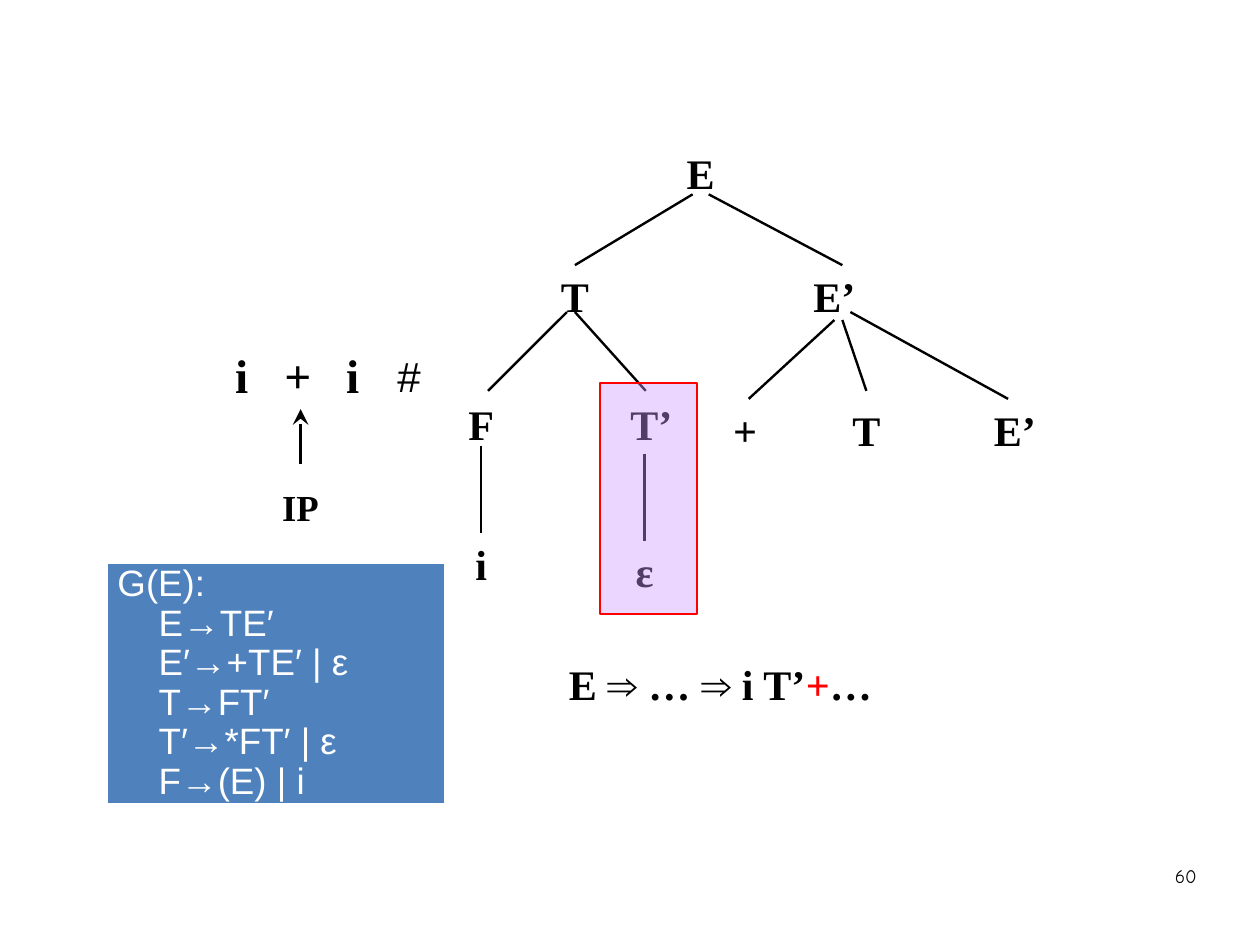
from pptx import Presentation
from pptx.dml.color import RGBColor
from pptx.enum.shapes import MSO_CONNECTOR, MSO_SHAPE
from pptx.enum.text import MSO_ANCHOR, MSO_AUTO_SIZE, PP_ALIGN
from pptx.oxml.ns import qn
from pptx.util import Inches, Pt
from lxml.etree import SubElement

COLORS = {"black": "000000", "white": "FFFFFF", "red": "FF0000",
          "blue": "4F81BD", "violet": "CC99FF"}
SERIF = "Times New Roman"
NODE_SIZE = 26.5
CM_PER_INCH = 2.54

# Tree nodes: text, centre x, top
NODES = [
    ("E", 6.13, 1.24),
    ("T", 5.03, 2.32), ("E’", 7.3, 2.32),
    ("F", 4.21, 3.44), ("T’", 5.7, 3.44),
    ("+", 6.52, 3.49), ("T", 7.58, 3.49), ("E’", 8.88, 3.49),
    ("i", 4.21, 4.66), ("ε", 5.64, 4.72),
]
# Tree branches: start x, start y, end x, end y
BRANCHES = [
    (6.06, 1.7, 5.03, 2.32), (6.2, 1.7, 7.37, 2.32),
    (4.96, 2.73, 4.27, 3.42), (5.03, 2.73, 5.65, 3.42),
    (7.3, 2.8, 6.55, 3.49), (7.37, 2.8, 7.58, 3.42), (7.44, 2.73, 8.82, 3.49),
    (4.21, 3.9, 4.21, 4.66), (5.64, 3.97, 5.64, 4.73),
]
RULES = ["E→TE′", "E′→+TE′ | ε", "T→FT′", "T′→*FT′ | ε", "F→(E) | i"]


def rgb(name):
    return RGBColor.from_string(COLORS[name])


def style(font, size, name=SERIF, bold=True, color="black"):
    font.size = Pt(size)
    font.name = name
    font.bold = bold
    font.color.rgb = rgb(color)


def add_text_box(slide, left, top, width, height, wrap=False):
    box = slide.shapes.add_textbox(Inches(left), Inches(top),
                                   Inches(width), Inches(height))
    frame = box.text_frame
    frame.word_wrap = wrap
    frame.auto_size = MSO_AUTO_SIZE.SHAPE_TO_FIT_TEXT
    return frame


def add_label(slide, text, center, top, size=NODE_SIZE, name=SERIF, bold=True):
    width = 0.6
    frame = add_text_box(slide, center - width / 2, top, width, 0.55)
    frame.text = text
    paragraph = frame.paragraphs[0]
    paragraph.alignment = PP_ALIGN.CENTER
    style(paragraph.runs[0].font, size, name, bold)


def add_line(slide, x1, y1, x2, y2, arrow=False):
    line = slide.shapes.add_connector(MSO_CONNECTOR.STRAIGHT, Inches(x1),
                                      Inches(y1), Inches(x2), Inches(y2))
    line.line.color.rgb = rgb("black")
    line.line.width = Pt(1.5)
    if arrow:
        outline = line._element.spPr.find(qn("a:ln"))
        SubElement(outline, qn("a:tailEnd"), type="stealth", w="lg", len="lg")
    SubElement(line._element.spPr, qn("a:effectLst"))


def add_rectangle(slide, left, top, width, height, fill, line, line_width):
    shape = slide.shapes.add_shape(MSO_SHAPE.RECTANGLE, Inches(left), Inches(top),
                                   Inches(width), Inches(height))
    shape.shadow.inherit = False
    shape.fill.solid()
    shape.fill.fore_color.rgb = rgb(fill)
    shape.line.color.rgb = rgb(line)
    shape.line.width = Pt(line_width)
    return shape


def add_input(slide):
    frame = add_text_box(slide, 1.96, 2.98, 1.56, 0.6, wrap=True)
    frame.text = "i\t+\ti"
    paragraph = frame.paragraphs[0]
    tabs = SubElement(paragraph._p.get_or_add_pPr(), qn("a:tabLst"))
    for position in (0.43, 0.97):
        SubElement(tabs, qn("a:tab"), pos=str(Inches(position)), algn="l")
    for run in paragraph.runs:
        style(run.font, 29.8)
    add_label(slide, "#", 3.58, 3.02, name="Arial", bold=False)
    add_line(slide, 2.63, 4.06, 2.63, 3.58, arrow=True)
    add_label(slide, "IP", 2.63, 4.19, size=23.1)


def add_grammar(slide):
    panel = add_rectangle(slide, 0.93, 4.92, 2.97, 2.12, "blue", "white", 2)
    frame = panel.text_frame
    frame.word_wrap = False
    frame.vertical_anchor = MSO_ANCHOR.MIDDLE
    frame.text = "\n".join(["G(E):"] + RULES)
    for index, paragraph in enumerate(frame.paragraphs):
        paragraph.alignment = PP_ALIGN.LEFT
        paragraph.line_spacing = 0.9
        if index:
            properties = paragraph._p.get_or_add_pPr()
            properties.set("marL", str(Inches(0.36)))
            properties.set("indent", "0")
        style(paragraph.runs[0].font, 23.1, "Arial", False, "white")


def add_highlight(slide):
    shape = add_rectangle(slide, 5.25, 3.35, 0.85, 2.02, "violet", "red", 1)
    color = shape._element.spPr.find(qn("a:solidFill"))[0]
    SubElement(color, qn("a:alpha"), val="40000")


def add_derivation(slide):
    paragraph = add_text_box(slide, 4.88, 5.71, 3.07, 0.55).paragraphs[0]
    for text, color in [("E ⇒ … ⇒ i T’", "black"), ("+", "red"), ("…", "black")]:
        run = paragraph.add_run()
        run.text = text
        style(run.font, NODE_SIZE, color=color)


def add_slide_number(slide):
    frame = add_text_box(slide, 7.9, 7.53, 2.57, 0.57, wrap=True)
    frame.auto_size = MSO_AUTO_SIZE.NONE
    frame.margin_left = frame.margin_right = Inches(0)
    frame.margin_top = frame.margin_bottom = Inches(0)
    frame.text = "60"
    paragraph = frame.paragraphs[0]
    paragraph.alignment = PP_ALIGN.RIGHT
    paragraph.line_spacing = 1.16
    style(paragraph.runs[0].font, 12, "Comic Neue", False)


def main():
    # The slide measures 28 by 21 cm
    presentation = Presentation()
    presentation.slide_width = Inches(28 / CM_PER_INCH)
    presentation.slide_height = Inches(21 / CM_PER_INCH)
    slide = presentation.slides.add_slide(presentation.slide_layouts[6])

    # Input string with its pointer
    add_input(slide)

    # Parse tree
    for branch in BRANCHES:
        add_line(slide, *branch)
    for node in NODES:
        add_label(slide, *node)
    add_highlight(slide)

    # Grammar, derivation and slide number
    add_grammar(slide)
    add_derivation(slide)
    add_slide_number(slide)

    presentation.save("out.pptx")


if __name__ == "__main__":
    main()
